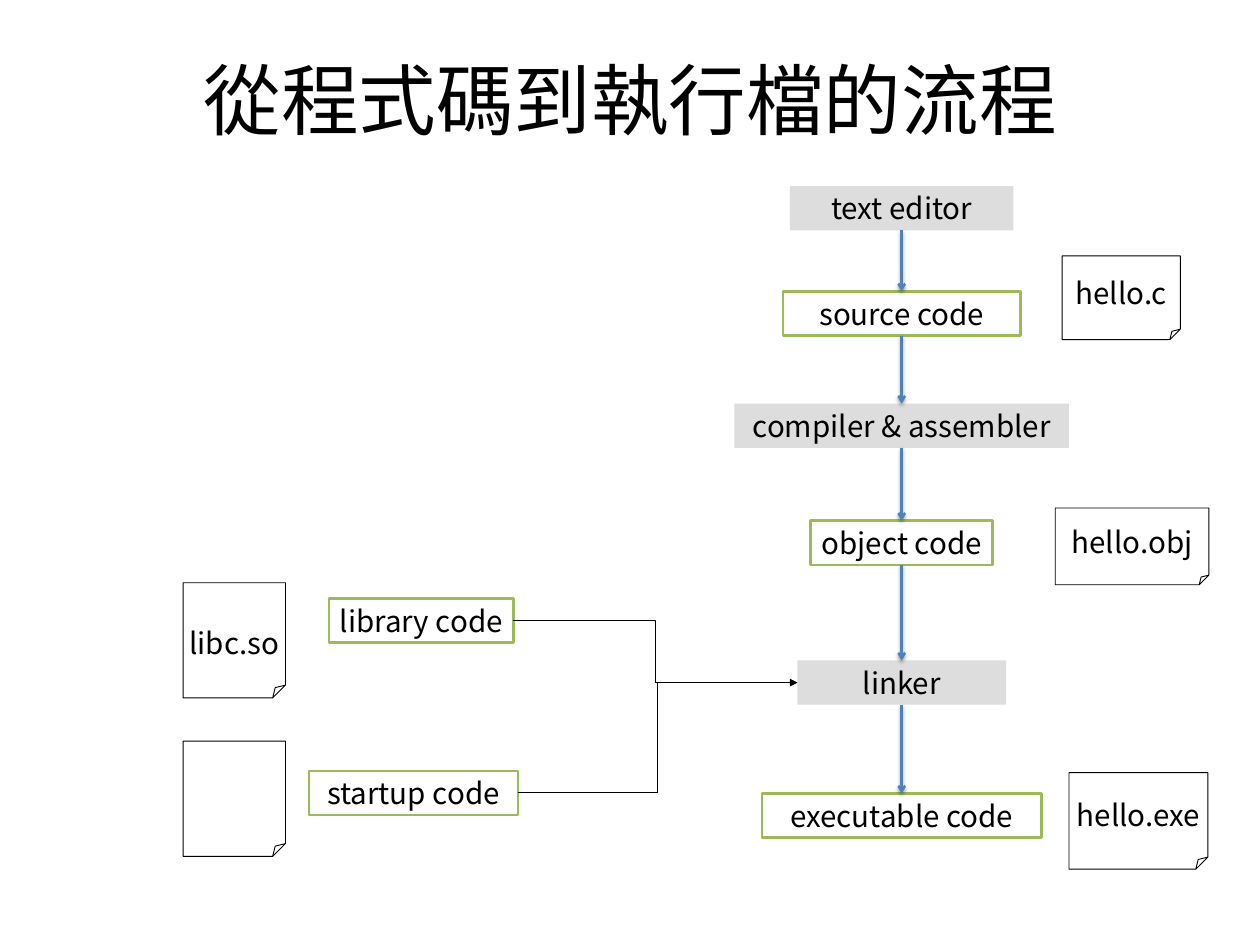
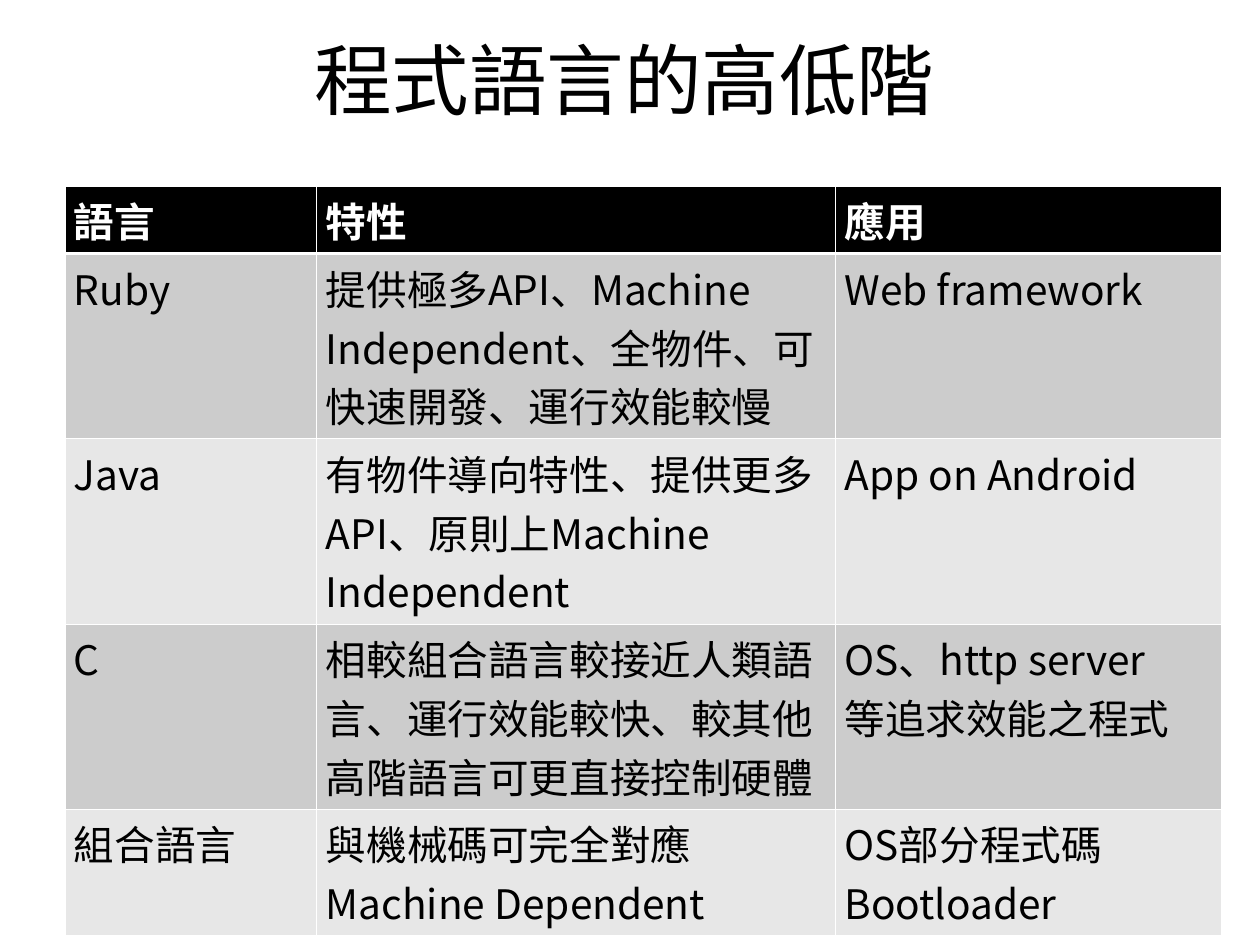
from lxml.etree import SubElement
from pptx import Presentation
from pptx.dml.color import RGBColor
from pptx.enum.shapes import MSO_CONNECTOR, MSO_SHAPE
from pptx.enum.text import MSO_ANCHOR, MSO_AUTO_SIZE, PP_ALIGN
from pptx.oxml.ns import qn
from pptx.util import Pt

EMU_PER_PX = 10160  # 90 px to the inch
FONT = "Noto Sans CJK SC"
COLORS = {
    "ink": "000000", "paper": "FFFFFF", "tool": "DDDDDD", "code": "9BBB59",
    "arrow": "4F81BD", "band_dark": "CCCCCC", "band_light": "E7E7E7",
}
TOP, LEFT, BOTTOM, RIGHT = range(4)  # connection sites of a rectangle


def px(length):
    return round(length * EMU_PER_PX)


def rgb(name):
    return RGBColor.from_string(COLORS[name])


def write(frame, text, size=24, color="ink", bold=False,
          align=PP_ALIGN.CENTER, anchor=MSO_ANCHOR.MIDDLE, wrap=False):
    """Fill a text frame, one paragraph for each line of text."""
    frame.auto_size = MSO_AUTO_SIZE.NONE
    frame.word_wrap = wrap
    frame.vertical_anchor = anchor
    write_lines(frame, text, size, color, bold, align)


def write_lines(frame, text, size, color, bold, align):
    for number, line in enumerate(text.split("\n")):
        paragraph = frame.paragraphs[0] if number == 0 else frame.add_paragraph()
        paragraph.alignment = align
        run = paragraph.add_run()
        run.text = line
        font = run.font
        font.size, font.bold, font.name = Pt(size), bold, FONT
        font.color.rgb = rgb(color)
        SubElement(run._r.get_or_add_rPr(), qn("a:ea"), typeface=FONT)


class Deck:
    def __init__(self, width, height):
        self.prs = Presentation()
        self.prs.slide_width, self.prs.slide_height = px(width), px(height)
        self.slide = None

    def new_slide(self, title, left, top, width, height):
        self.slide = self.prs.slides.add_slide(self.prs.slide_layouts[5])
        heading = self.slide.shapes.title
        heading.left, heading.top = px(left), px(top)
        heading.width, heading.height = px(width), px(height)
        frame = heading.text_frame
        frame.margin_left = frame.margin_right = px(13)
        frame.margin_top = frame.margin_bottom = px(6)
        write(frame, title, size=63, wrap=True)

    def shape(self, kind, left, top, width, height, fill=None, line=None, weight=0.75):
        shape = self.slide.shapes.add_shape(
            kind, px(left), px(top), px(width), px(height))
        shape.shadow.inherit = False
        if fill:
            shape.fill.solid()
            shape.fill.fore_color.rgb = rgb(fill)
        else:
            shape.fill.background()
        if line:
            shape.line.color.rgb = rgb(line)
            shape.line.width = Pt(weight)
        else:
            shape.line.fill.background()
        return shape

    def note(self, text, left, top, width, height, inset_top=4):
        note = self.shape(MSO_SHAPE.FOLDED_CORNER, left, top, width, height, line="ink")
        guides = note._element.spPr.find(qn("a:prstGeom")).find(qn("a:avLst"))
        SubElement(guides, qn("a:gd"), name="adj", fmla="val 12500")
        note.text_frame.margin_top = px(inset_top)
        if text:
            write(note.text_frame, text)

    def step(self, text, center, top, width, is_tool=False):
        look = {"fill": "tool"} if is_tool else {
            "fill": "paper", "line": "code", "weight": 2}
        step = self.shape(MSO_SHAPE.RECTANGLE, center - width / 2, top, width, 45, **look)
        write(step.text_frame, text)
        return step

    def connect(self, start, start_site, end, end_site, kind, color, weight, head,
                shadow=False):
        link = self.slide.shapes.add_connector(kind, 0, 0, 0, 0)
        link.begin_connect(start, start_site)
        link.end_connect(end, end_site)
        link.line.color.rgb = rgb(color)
        link.line.width = Pt(weight)
        SubElement(link.line._get_or_add_ln(), qn("a:tailEnd"), type=head)
        effects = SubElement(link._element.spPr, qn("a:effectLst"))
        if shadow:
            outer = SubElement(effects, qn("a:outerShdw"), blurRad="40000",
                               dist="20000", dir="5400000", rotWithShape="0")
            tint = SubElement(outer, qn("a:srgbClr"), val=COLORS["ink"])
            SubElement(tint, qn("a:alpha"), val="38000")

    def table(self, rows, left, top, widths, heights):
        table = self.slide.shapes.add_table(
            len(rows), len(widths), px(left), px(top),
            px(sum(widths)), px(sum(heights))).table
        table.horz_banding = False
        for column, width in zip(table.columns, widths):
            column.width = px(width)
        for r, (texts, height) in enumerate(zip(rows, heights)):
            table.rows[r].height = px(height)
            fill = "ink" if r == 0 else ("band_light", "band_dark")[r % 2]
            for c, text in enumerate(texts):
                cell = table.cell(r, c)
                self.borders(cell, {"L": 1, "R": 1, "T": 3 if r == 1 else 1,
                                    "B": 3 if r == 0 else 1})
                cell.fill.solid()
                cell.fill.fore_color.rgb = rgb(fill)
                write_lines(cell.text_frame, text, 33, "ink" if r else "paper",
                            r == 0, PP_ALIGN.LEFT)

    def borders(self, cell, weights):
        properties = cell._tc.get_or_add_tcPr()
        for side, weight in weights.items():
            line = SubElement(properties, qn(f"a:ln{side}"), w=str(int(Pt(weight))))
            fill = SubElement(line, qn("a:solidFill"))
            SubElement(fill, qn("a:srgbClr"), val=COLORS["paper"])


def build_flow(deck):
    deck.new_slide("從程式碼到執行檔的流程", 64, 39, 1152, 122)

    # File notes
    deck.note("", 186, 753, 104, 117)
    deck.note("libc.so", 186, 592, 104, 117, inset_top=23)
    deck.note("hello.exe", 1086, 785, 141, 98)
    deck.note("hello.obj", 1072, 516, 156, 78)
    deck.note("hello.c", 1079, 260, 120, 85)

    # Main column: tools and code take turns
    stages = [("text editor", 189, 227), ("source code", 296, 241),
              ("compiler & assembler", 410, 340), ("object code", 529, 185),
              ("linker", 671, 212), ("executable code", 806, 284)]
    steps = [deck.step(text, 916, top, width, is_tool=number % 2 == 0)
             for number, (text, top, width) in enumerate(stages)]

    # Side inputs to the linker
    linker = steps[4]
    for text, center, top, width in [("library code", 428, 608, 187),
                                     ("startup code", 420, 783, 212)]:
        side_input = deck.step(text, center, top, width)
        deck.connect(side_input, RIGHT, linker, LEFT, MSO_CONNECTOR.ELBOW,
                     "ink", 0.75, "triangle")

    # Arrows down the column
    for upper, lower in zip(steps, steps[1:]):
        deck.connect(upper, BOTTOM, lower, TOP, MSO_CONNECTOR.STRAIGHT,
                     "arrow", 2, "arrow", shadow=True)


def build_languages(deck):
    deck.new_slide("程式語言的高低階", 58, 0, 1152, 160)
    languages = [
        ("語言", "特性", "應用"),
        ("Ruby", "提供極多API、Machine Independent、全物件、可快速開發、運行效能較慢",
         "Web framework"),
        ("Java", "有物件導向特性、提供更多API、原則上Machine Independent",
         "App on Android"),
        ("C", "相較組合語言較接近人類語言、運行效能較快、較其他高階語言可更直接控制硬體",
         "OS、http server\n等追求效能之程式"),
        ("組合語言", "與機械碼可完全對應\nMachine Dependent", "OS部分程式碼\nBootloader"),
    ]
    deck.table(languages, 66, 189, [256, 527, 392], [68, 188, 188, 188, 128])


def main():
    deck = Deck(1280, 960)
    build_flow(deck)
    build_languages(deck)
    deck.prs.save("out.pptx")


if __name__ == "__main__":
    main()
